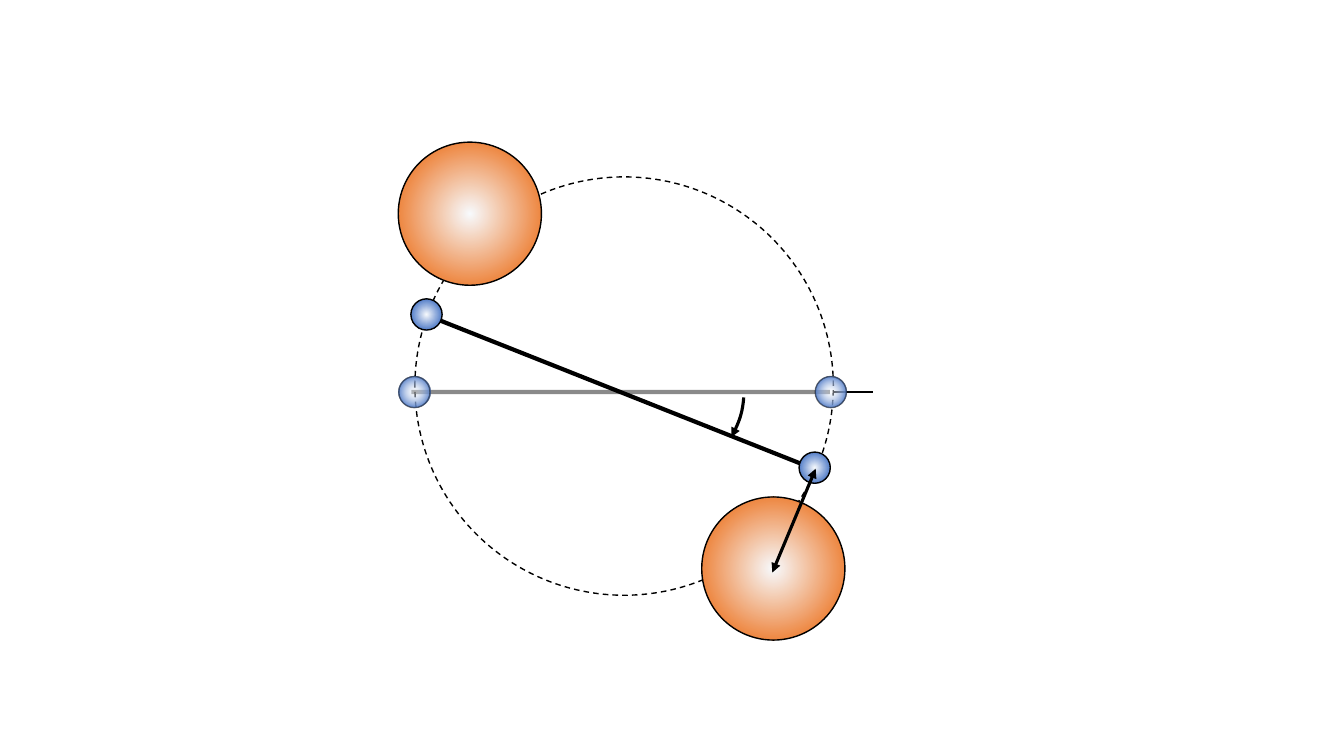
from dataclasses import dataclass

from lxml import etree
from pptx import Presentation
from pptx.dml.color import RGBColor
from pptx.enum.dml import MSO_LINE
from pptx.enum.shapes import MSO_CONNECTOR, MSO_SHAPE
from pptx.oxml import parse_xml
from pptx.oxml.ns import nsdecls, qn
from pptx.util import Inches, Pt

STRAIGHT = MSO_CONNECTOR.STRAIGHT
OVAL, ARC = MSO_SHAPE.OVAL, MSO_SHAPE.ARC
DASH = MSO_LINE.DASH


@dataclass(frozen=True)
class Theme:
    ink: str = "000000"
    glow: str = "F7FAFD"
    small_ball: str = "4472C4"
    large_ball: str = "ED7D31"
    outline: float = 1
    axis: float = 1.5
    arrow: float = 2.25
    rod: float = 3
    faded_line: int = 46
    faded_glow: int = 32


THEME = Theme()
SLIDE_SIZE = 13.33, 7.5
SMALL, LARGE = 0.31, 1.42  # ball diameters, inches

# Centres and end points in inches
ORBIT = (6.19, 3.83), 4.15
AXIS = (8.27, 3.89), (8.66, 3.89)
ROD_AT_REST = (4.08, 3.89), (8.23, 3.89)
ROD_TURNED = (4.24, 3.13), (8.07, 4.65)
SEPARATION = (7.66, 5.68), (8.09, 4.65)
BALLS_AT_REST = [(8.24, 3.89), (4.11, 3.89)]
LARGE_BALLS = [(4.66, 2.12), (7.67, 5.64)]
BALL_RIGHT, BALL_LEFT = (8.08, 4.64), (4.23, 3.12)
TURN_BOX = 5.41, 2.92, 1.97, 1.9
TURN_ANGLES = 2.559, 17.129


def alpha(percent):
    return f'<a:alpha val="{percent * 1000}"/>' if percent < 100 else ""


def style_line(shape, width, opacity=100, arrows=()):
    line = shape.line
    line.width = Pt(width)
    line.fill.solid()
    line.fill.fore_color.rgb = RGBColor.from_string(THEME.ink)
    ln = shape._element.spPr.find(qn("a:ln"))
    if opacity < 100:
        color = ln.find(".//" + qn("a:srgbClr"))
        etree.SubElement(color, qn("a:alpha"), val=str(opacity * 1000))
    for end in arrows:
        etree.SubElement(ln, qn(f"a:{end}"), type="triangle")


def add_line(group, ends, width, opacity=100, arrows=()):
    (x1, y1), (x2, y2) = ends
    line = group.shapes.add_connector(
        STRAIGHT, Inches(x1), Inches(y1), Inches(x2), Inches(y2))
    style_line(line, width, opacity, arrows)
    etree.SubElement(line._element.spPr, qn("a:effectLst"))


def add_outline(group, preset, box):
    shape = group.shapes.add_shape(preset, *map(Inches, box))
    shape.shadow.inherit = False
    shape.fill.background()
    return shape


def add_circle(group, center, diameter):
    x, y = center
    return add_outline(group, OVAL, (x - diameter / 2, y - diameter / 2, diameter, diameter))


def add_ball(group, center, diameter, color, line_opacity=100, glow_opacity=100):
    """Circle lit from its middle by a radial gradient."""
    ball = add_circle(group, center, diameter)
    gradient = parse_xml(
        f'<a:gradFill {nsdecls("a")} rotWithShape="1"><a:gsLst>'
        f'<a:gs pos="0"><a:srgbClr val="{THEME.glow}">{alpha(glow_opacity)}</a:srgbClr></a:gs>'
        f'<a:gs pos="77000"><a:srgbClr val="{color}"/></a:gs></a:gsLst>'
        '<a:path path="circle"><a:fillToRect l="50000" t="50000" r="50000" b="50000"/></a:path>'
        '</a:gradFill>')
    properties = ball._element.spPr
    properties.replace(properties.find(qn("a:noFill")), gradient)
    style_line(ball, THEME.outline, line_opacity)


def main():
    prs = Presentation()
    prs.slide_width, prs.slide_height = map(Inches, SLIDE_SIZE)
    slide = prs.slides.add_slide(prs.slide_layouts[6])
    balance = slide.shapes.add_group_shape()

    add_line(balance, AXIS, THEME.axis)
    turn = add_outline(balance, ARC, TURN_BOX)
    for index, angle in enumerate(TURN_ANGLES):
        turn.adjustments[index] = angle
    style_line(turn, THEME.arrow, arrows=["tailEnd"])
    orbit = add_circle(balance, *ORBIT)
    style_line(orbit, THEME.outline)
    orbit.line.dash_style = DASH

    add_line(balance, ROD_AT_REST, THEME.rod, THEME.faded_line)
    for center in BALLS_AT_REST:
        add_ball(balance, center, SMALL, THEME.small_ball, THEME.faded_line, THEME.faded_glow)

    add_line(balance, ROD_TURNED, THEME.rod)
    add_ball(balance, BALL_RIGHT, SMALL, THEME.small_ball)
    for center in LARGE_BALLS:
        add_ball(balance, center, LARGE, THEME.large_ball)
    add_line(balance, SEPARATION, THEME.arrow, arrows=["headEnd", "tailEnd"])
    add_ball(balance, BALL_LEFT, SMALL, THEME.small_ball)

    prs.save("out.pptx")


if __name__ == "__main__":
    main()
